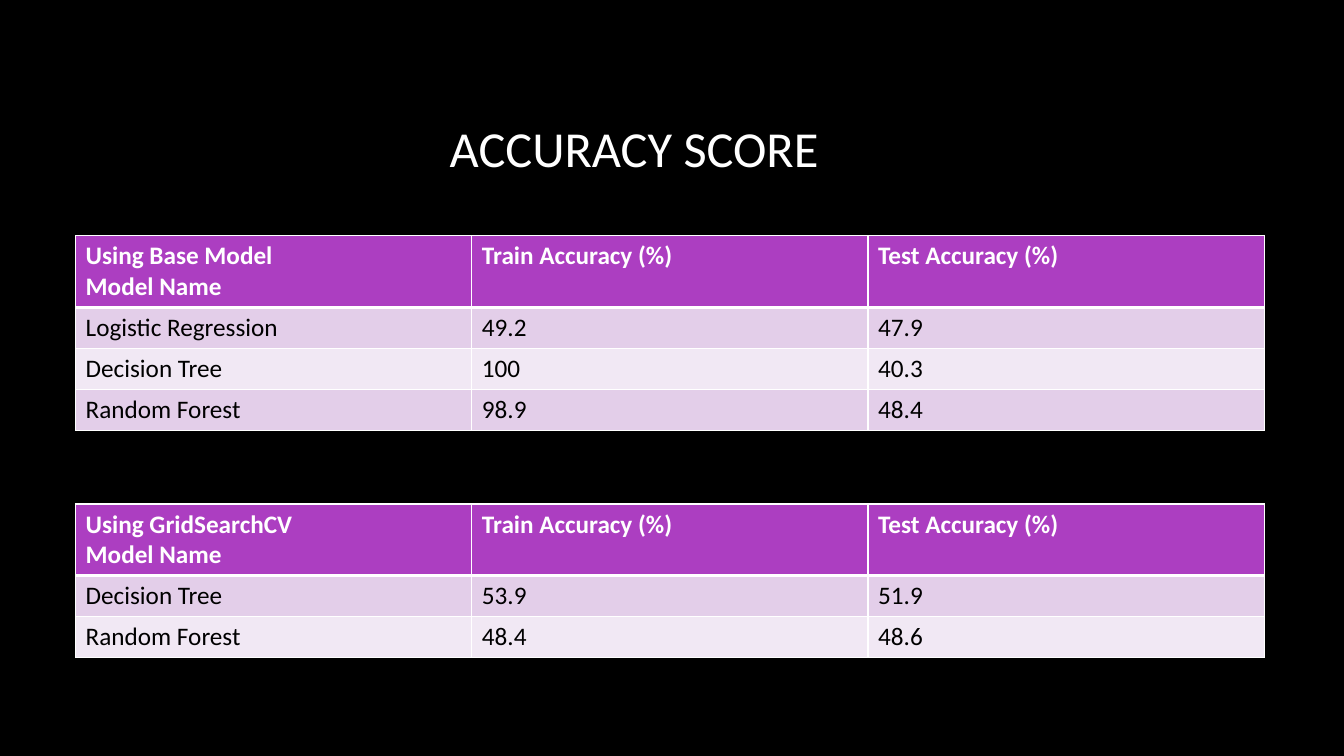
from pptx import Presentation
from pptx.dml.color import RGBColor
from pptx.enum.text import MSO_ANCHOR, PP_ALIGN
from pptx.util import Inches, Pt
from lxml.etree import SubElement
from pptx.oxml.ns import qn

# Content
HEADING = "ACCURACY SCORE"
SCORES = ["Train Accuracy (%)", "Test Accuracy (%)"]
BASE_MODELS = [
    ["Using Base Model\nModel Name", *SCORES],
    ["Logistic Regression", "49.2", "47.9"],
    ["Decision Tree", "100", "40.3"],
    ["Random Forest", "98.9", "48.4"],
]
TUNED_MODELS = [
    ["Using GridSearchCV\nModel Name", *SCORES],
    ["Decision Tree", "53.9", "51.9"],
    ["Random Forest", "48.4", "48.6"],
]

# Look and grid, in inches and points
FONT = "Calibri"
WHITE, BLACK, PURPLE = "FFFFFF", "000000", "AC3EC1"
BANDS = ["F1E8F4", "E3CEE9"]
LEFT, COLUMN = 0.75, 3.93
HEADER_HEIGHT, ROW_HEIGHT = 0.7, 0.405
THIN, THICK = 1, 3


def color(value):
    return RGBColor.from_string(value)


def write(paragraph, text, size, ink, bold=False):
    run = paragraph.add_run()
    run.text = text
    run.font.name, run.font.size, run.font.bold = FONT, Pt(size), bold
    run.font.color.rgb = color(ink)


def add_borders(cell, top, bottom):
    properties = cell._tc.get_or_add_tcPr()
    for side, width in zip("LRTB", (THIN, THIN, top, bottom)):
        line = SubElement(properties, qn(f"a:ln{side}"), w=str(Pt(width)))
        fill = SubElement(line, qn("a:solidFill"))
        SubElement(fill, qn("a:srgbClr"), val=WHITE)


def add_scores(slide, rows, top):
    heights = [HEADER_HEIGHT] + [ROW_HEIGHT] * (len(rows) - 1)
    columns = len(rows[0])
    table = slide.shapes.add_table(
        len(rows), columns, Inches(LEFT), Inches(top),
        Inches(COLUMN * columns), Inches(sum(heights))).table
    for r, (row, height) in enumerate(zip(rows, heights)):
        table.rows[r].height = Inches(height)
        header = r == 0
        for c, text in enumerate(row):
            cell = table.cell(r, c)
            add_borders(cell, THICK if r == 1 else THIN, THICK if header else THIN)
            cell.fill.solid()
            cell.fill.fore_color.rgb = color(PURPLE if header else BANDS[r % 2])
            frame = cell.text_frame
            for i, line in enumerate(text.split("\n")):
                paragraph = frame.add_paragraph() if i else frame.paragraphs[0]
                write(paragraph, line, 18, WHITE if header else BLACK, header)


# Slide
deck = Presentation()
deck.slide_width, deck.slide_height = Inches(13.33), Inches(7.5)
slide = deck.slides.add_slide(deck.slide_layouts[5])
slide.background.fill.solid()
slide.background.fill.fore_color.rgb = color(BLACK)

# Title
title = slide.shapes.title
title.left, title.top = Inches(LEFT), Inches(0.67)
title.width, title.height = Inches(11.08), Inches(1.59)
title.text_frame.vertical_anchor = MSO_ANCHOR.MIDDLE
heading = title.text_frame.paragraphs[0]
heading.alignment = PP_ALIGN.CENTER
write(heading, HEADING, 36, WHITE)

# Tables
add_scores(slide, BASE_MODELS, 2.34)
add_scores(slide, TUNED_MODELS, 5)

deck.save("out.pptx")
